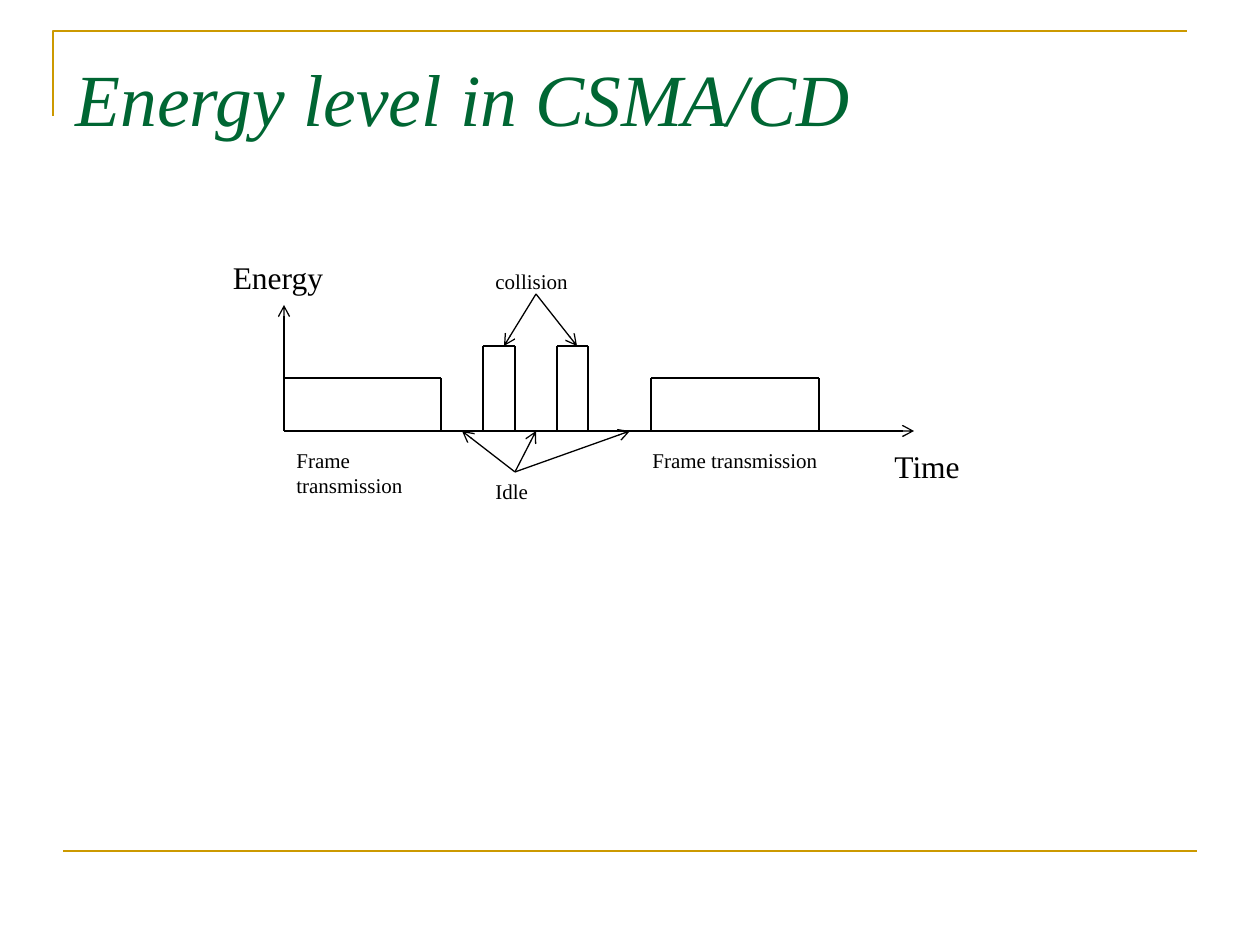
import pptx
import pptx.dml.color
import pptx.enum.shapes
import pptx.enum.text
import pptx.oxml.ns
import pptx.util
import lxml.etree

PX = 914400 / 126
FONT = "Times New Roman"
HUES = {"gold": "CC9900", "green": "006633", "black": "000000"}
BASE = 431  # height of the time axis
ALIGN = pptx.enum.text.PP_ALIGN


def emu(px):
    return pptx.util.Emu(round(px * PX))


def hue(name):
    return pptx.dml.color.RGBColor.from_string(HUES[name])


def style(line, color, width):
    line.color.rgb = hue(color)
    line.width = pptx.util.Pt(width)


def add_line(slide, start, end, color="black", width=0.75, arrow=False):
    kind = pptx.enum.shapes.MSO_CONNECTOR.STRAIGHT
    line = slide.shapes.add_connector(kind, *map(emu, start + end))
    style(line.line, color, width)
    qn = pptx.oxml.ns.qn
    props = line._element.spPr
    if arrow:
        lxml.etree.SubElement(props.find(qn("a:ln")), qn("a:tailEnd"), type="arrow")
    lxml.etree.SubElement(props, qn("a:effectLst"))


def add_path(slide, points):
    """Join points by single lines."""
    for start, end in zip(points, points[1:]):
        add_line(slide, start, end)


def add_fan(slide, start, ends):
    """Point arrows from one spot to several."""
    for end in ends:
        add_line(slide, start, end, arrow=True)


def write(shape, text, size, color, align=ALIGN.LEFT, italic=False):
    para = shape.text_frame.paragraphs[0]
    para.alignment = align
    run = para.add_run()
    run.text = text
    font = run.font
    font.name, font.size, font.italic = FONT, pptx.util.Pt(size), italic
    font.color.rgb = hue(color)


def add_label(slide, text, box, size=12, align=ALIGN.LEFT):
    label = slide.shapes.add_textbox(*map(emu, box))
    label.text_frame.word_wrap = True
    label.text_frame.auto_size = pptx.enum.text.MSO_AUTO_SIZE.SHAPE_TO_FIT_TEXT
    write(label, text, size, "black", align)


def add_frame(slide):
    """Gold corner at the top and rule at the bottom."""
    path = slide.shapes.build_freeform(emu(53), emu(116), scale=1.0)
    path.add_line_segments(
        [(emu(53), emu(31)), (emu(1187), emu(31))], close=False)
    frame = path.convert_to_shape()
    frame.shadow.inherit = False
    frame.fill.background()
    style(frame.line, "gold", 1.5)
    add_line(slide, (63, 851), (1197, 851), "gold", 1.5)


def set_title(slide, text):
    title = slide.shapes.title
    title.left, title.top, title.width, title.height = map(emu, (63, 38, 1133, 88))
    frame = title.text_frame
    frame.auto_size = pptx.enum.text.MSO_AUTO_SIZE.NONE
    frame.vertical_anchor = pptx.enum.text.MSO_ANCHOR.TOP
    frame.margin_top = emu(15)
    write(title, text, 42, "green", italic=True)


def main():
    deck = pptx.Presentation()
    deck.slide_width, deck.slide_height = emu(1260), emu(945)
    slide = deck.slides.add_slide(deck.slide_layouts[5])
    add_frame(slide)
    set_title(slide, "Energy level in CSMA/CD")

    # Axes
    add_line(slide, (284, BASE), (284, 305), arrow=True)
    add_line(slide, (284, BASE), (914, BASE), arrow=True)

    # Pulses; the first rises along the energy axis
    add_path(slide, [(284, 378), (441, 378), (441, BASE)])
    for left, right, top in [(483, 515, 346), (557, 588, 346), (651, 819, 378)]:
        add_path(slide, [(left, BASE), (left, top), (right, top), (right, BASE)])

    # Pointers to idle times and collisions
    add_fan(slide, (515, 472), [(462, BASE), (536, BASE), (630, BASE)])
    add_fan(slide, (536, 294), [(504, 346), (577, 346)])

    # Labels
    add_label(slide, "Idle", (483, 472, 84, 38))
    add_label(slide, "Energy", (210, 252, 136, 50), 18, ALIGN.CENTER)
    add_label(slide, "Time", (882, 441, 95, 50), 18)
    add_label(slide, "Frame transmission", (284, 441, 168, 63))
    add_label(slide, "Frame transmission", (640, 441, 231, 38))
    add_label(slide, "collision", (483, 262, 158, 38))

    deck.save("out.pptx")


if __name__ == "__main__":
    main()
